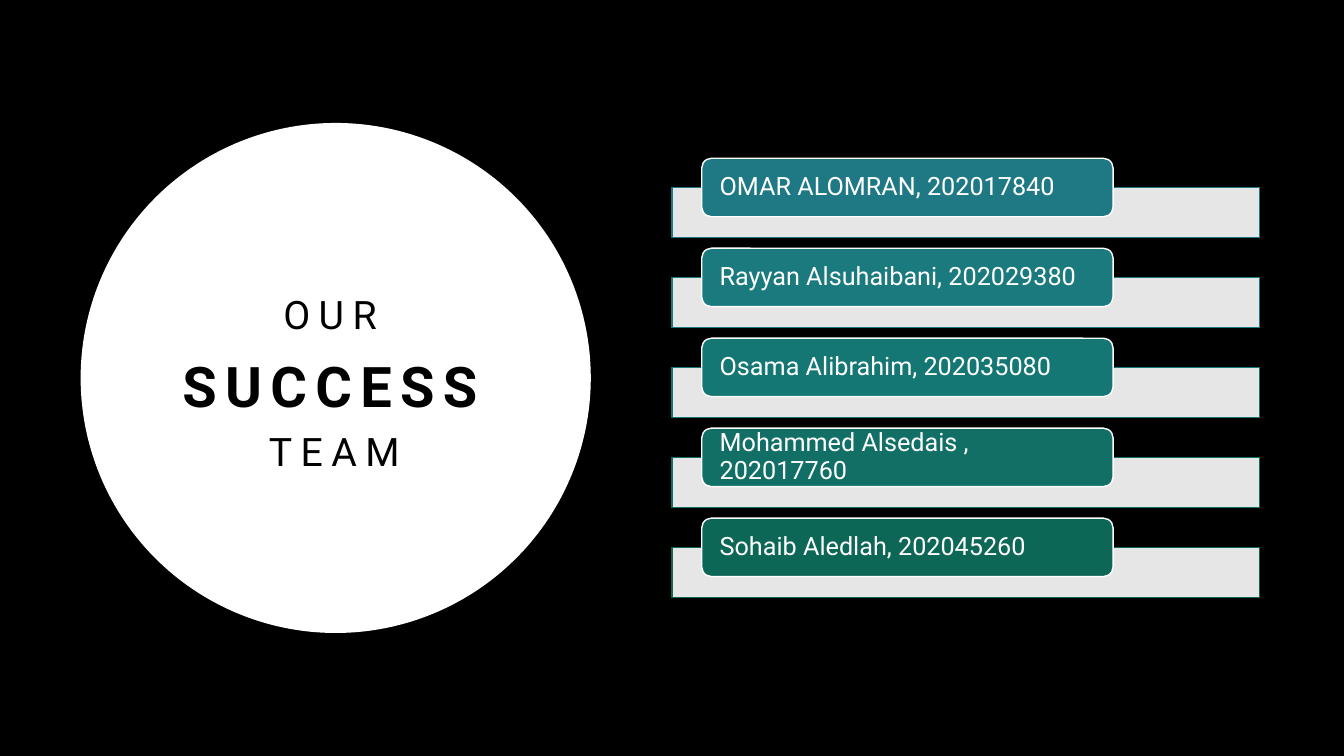
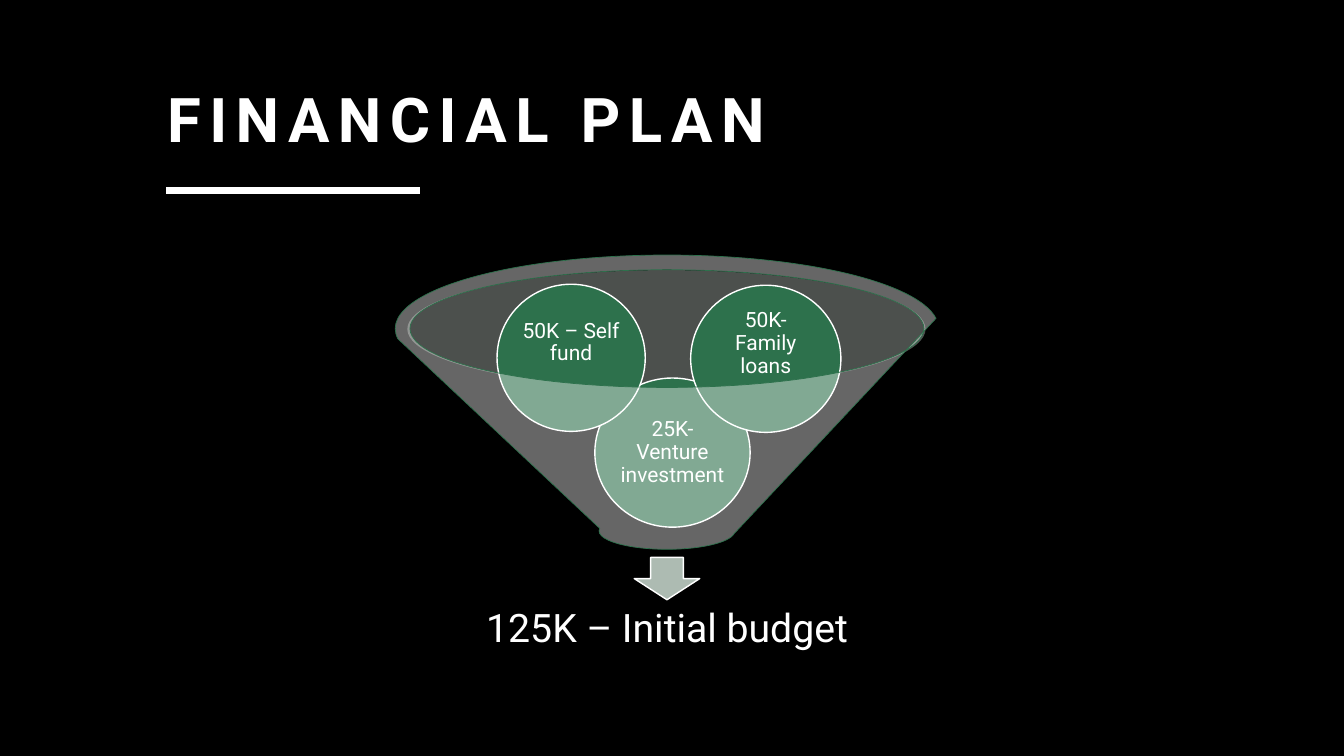
from lxml import etree
from pptx import Presentation
from pptx.dml.color import RGBColor
from pptx.enum.shapes import MSO_CONNECTOR, MSO_SHAPE
from pptx.enum.text import MSO_ANCHOR, PP_ALIGN
from pptx.oxml.ns import qn
from pptx.util import Inches, Pt

OVAL, RECT, ROUNDED = MSO_SHAPE.OVAL, MSO_SHAPE.RECTANGLE, MSO_SHAPE.ROUNDED_RECTANGLE
FUNNEL, DOWN_ARROW = MSO_SHAPE.FUNNEL, MSO_SHAPE.DOWN_ARROW
STRAIGHT = MSO_CONNECTOR.STRAIGHT
LEFT, CENTER = PP_ALIGN.LEFT, PP_ALIGN.CENTER
MIDDLE, BOTTOM = MSO_ANCHOR.MIDDLE, MSO_ANCHOR.BOTTOM

WIDTH, HEIGHT = 13.33, 7.5
FONT = "Roboto"
BLACK, WHITE, GREEN = "000000", "FFFFFF", "2D714C"
RIM, ARROW = "BEC9C2", "ADBBB2"
TITLE_TRACKING = 6

TEAM_TITLE = [
    ("OUR ", {"size": Pt(28)}),
    ("SUCCESS", {"size": Pt(40), "bold": True}),
    (" ", {"size": Pt(28), "bold": True}),
    ("TEAM", {"size": Pt(28), "bold": False}),
]
MEMBERS = [
    ("OMAR ALOMRAN, 202017840", "1F7985"),
    ("Rayyan Alsuhaibani, 202029380", "1A7A7E"),
    ("Osama Alibrahim, 202035080", "157773"),
    ("Mohammed Alsedais , 202017760", "116F65"),
    ("Sohaib Aledlah, 202045260", "0D6756"),
]
FIRST_MEMBER_TOP, LAST_MEMBER_TOP = 1.57, 5.14

PLAN_TITLE = [("FINANCIAL PLAN", {"size": Pt(44), "bold": True})]
ABOVE_RIM = 0.15
FUNDS = [
    ("25K- Venture investment", (5.9, 3.75, 1.54, 1.48), 0),
    ("50K – Self fund", (4.93, 2.82, 1.47, 1.46), ABOVE_RIM),
    ("50K- Family loans", (6.85, 2.83, 1.49, 1.46), ABOVE_RIM),
]
BUDGET = "125K – Initial budget"


def rgb(color):
    return RGBColor.from_string(color)


def add_slide(deck):
    slide = deck.slides.add_slide(deck.slide_layouts[6])
    slide.background.fill.solid()
    slide.background.fill.fore_color.rgb = rgb(BLACK)
    return slide


def add_shape(slide, preset, box, fill, line=None, line_width=1, opacity=100):
    shape = slide.shapes.add_shape(preset, *map(Inches, box))
    shape.shadow.inherit = False
    shape.fill.solid()
    shape.fill.fore_color.rgb = rgb(fill)
    if opacity < 100:
        tint = shape.fill._xPr.find(qn("a:solidFill"))[0]
        etree.SubElement(tint, qn("a:alpha"), val=str(opacity * 1000))
    if line:
        shape.line.color.rgb = rgb(line)
        shape.line.width = Pt(line_width)
    else:
        shape.line.fill.background()
    return shape


def write(shape, runs, color=WHITE, align=CENTER, anchor=MIDDLE,
          spacing=0.9, insets=(0.1, 0.05), lift=0, tracking=0):
    frame = shape.text_frame
    side, edge = map(Inches, insets)
    layout = {"word_wrap": True, "vertical_anchor": anchor,
              "margin_left": side, "margin_right": side,
              "margin_top": edge, "margin_bottom": edge + Inches(2 * lift)}
    for key, value in layout.items():
        setattr(frame, key, value)
    paragraph = frame.paragraphs[0]
    paragraph.alignment = align
    paragraph.line_spacing = spacing
    for words, style in runs:
        run = paragraph.add_run()
        run.text = words
        for key, value in {"name": FONT, **style}.items():
            setattr(run.font, key, value)
        run.font.color.rgb = rgb(color)
        if tracking:
            run.font._element.set("spc", str(tracking * 100))


def add_text(slide, box, runs, **format_values):
    write(slide.shapes.add_textbox(*map(Inches, box)), runs, **format_values)


def add_title(slide, box, runs, **format_values):
    add_text(slide, box, runs, spacing=1.2, tracking=TITLE_TRACKING, **format_values)


def add_rule(slide, left, right, y):
    rule = slide.shapes.add_connector(STRAIGHT, *map(Inches, (left, y, right, y)))
    rule.line.color.rgb = rgb(WHITE)
    rule.line.width = Pt(4.5)
    etree.SubElement(rule._element.spPr, qn("a:effectLst"))


def build_team(deck):
    slide = add_slide(deck)
    add_shape(slide, OVAL, (0.8, 1.22, 5.06, 5.06), WHITE)
    add_title(slide, (1.32, 2.5, 3.99, 2.5), TEAM_TITLE, color=BLACK)
    pitch = (LAST_MEMBER_TOP - FIRST_MEMBER_TOP) / (len(MEMBERS) - 1)
    for row, (member, color) in enumerate(MEMBERS):
        top = FIRST_MEMBER_TOP + row * pitch
        add_shape(slide, RECT, (WIDTH / 2, top + 0.29, 5.83, 0.5), WHITE, color, opacity=90)
        label = add_shape(slide, ROUNDED, (6.96, top, 4.08, 0.58), color, WHITE)
        write(label, [(member, {"size": Pt(18)})], align=LEFT, insets=(0.15, 0))


def build_plan(deck):
    slide = add_slide(deck)
    add_title(slide, (1.56, 0.65, 10.1, 0.94), PLAN_TITLE, align=LEFT, anchor=BOTTOM)
    add_shape(slide, OVAL, (4.04, 2.68, 5.14, 1.17), RIM, opacity=40)
    add_shape(slide, DOWN_ARROW, (6.29, 5.53, 0.65, 0.42), ARROW, WHITE)
    add_text(slide, (4.59, 5.86, 4.05, 0.78), [(BUDGET, {"size": Pt(28)})],
             insets=(0.22, 0.22))
    for fund, box, lift in FUNDS:
        circle = add_shape(slide, OVAL, box, GREEN, WHITE)
        write(circle, [(fund, {"size": Pt(15)})], insets=(0.02, 0.02), lift=lift)
    add_shape(slide, FUNNEL, (3.92, 2.53, 5.39, 2.92), WHITE, GREEN, 0.5, opacity=40)
    add_rule(slide, 1.65, 4.17, 1.89)


def main():
    deck = Presentation()
    deck.slide_width, deck.slide_height = Inches(WIDTH), Inches(HEIGHT)
    build_team(deck)
    build_plan(deck)
    deck.save("out.pptx")


if __name__ == "__main__":
    main()
